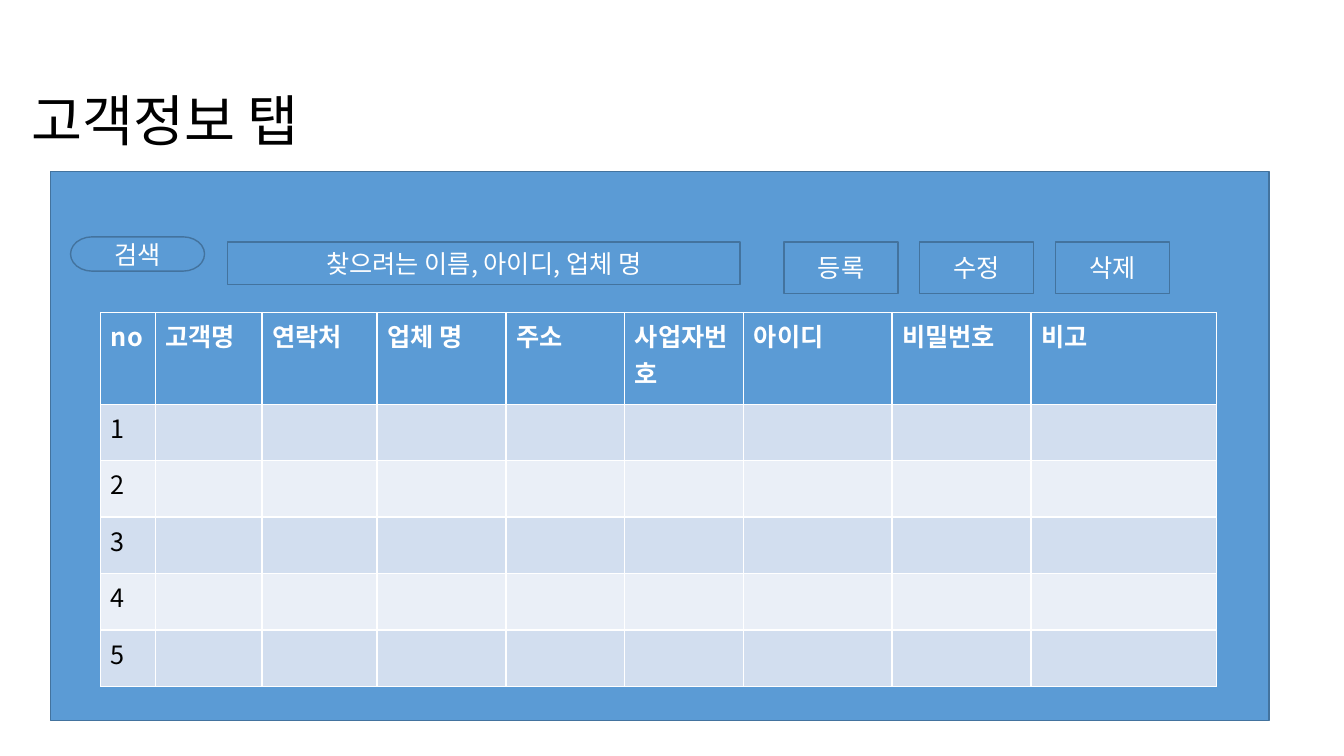
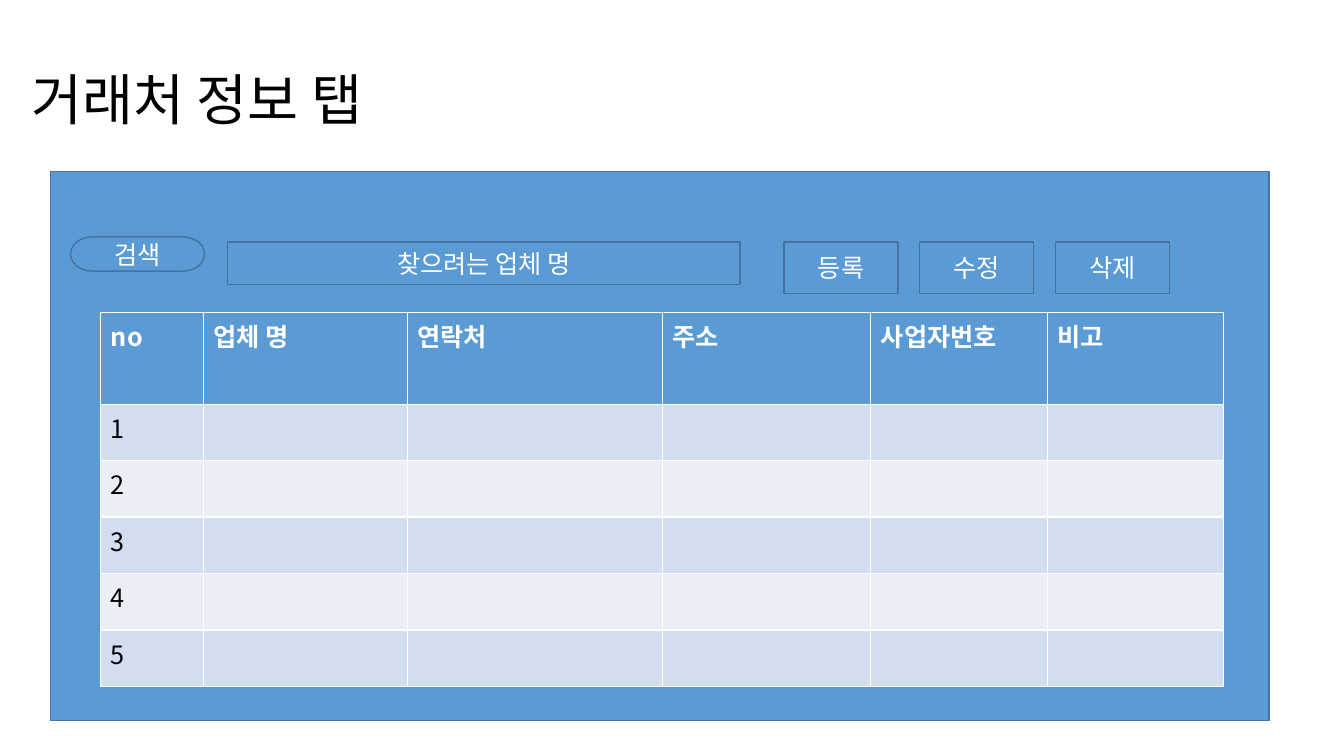
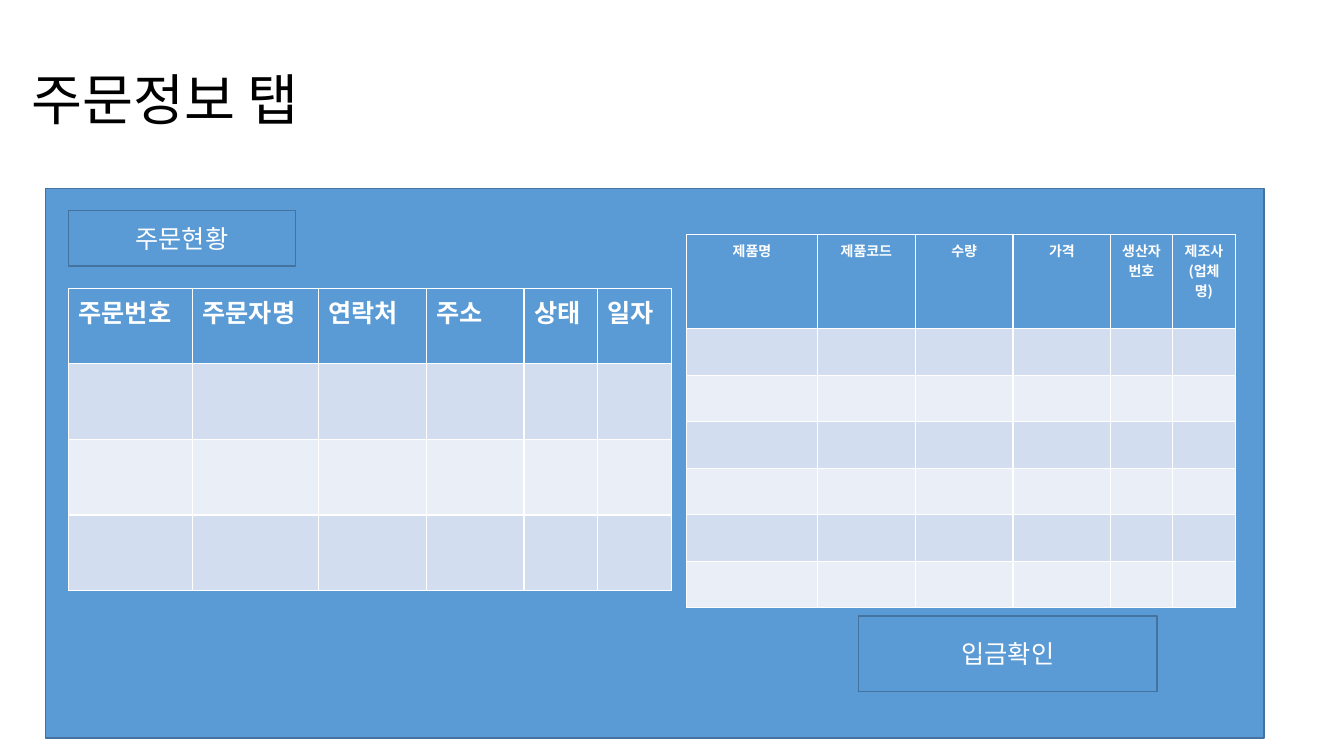
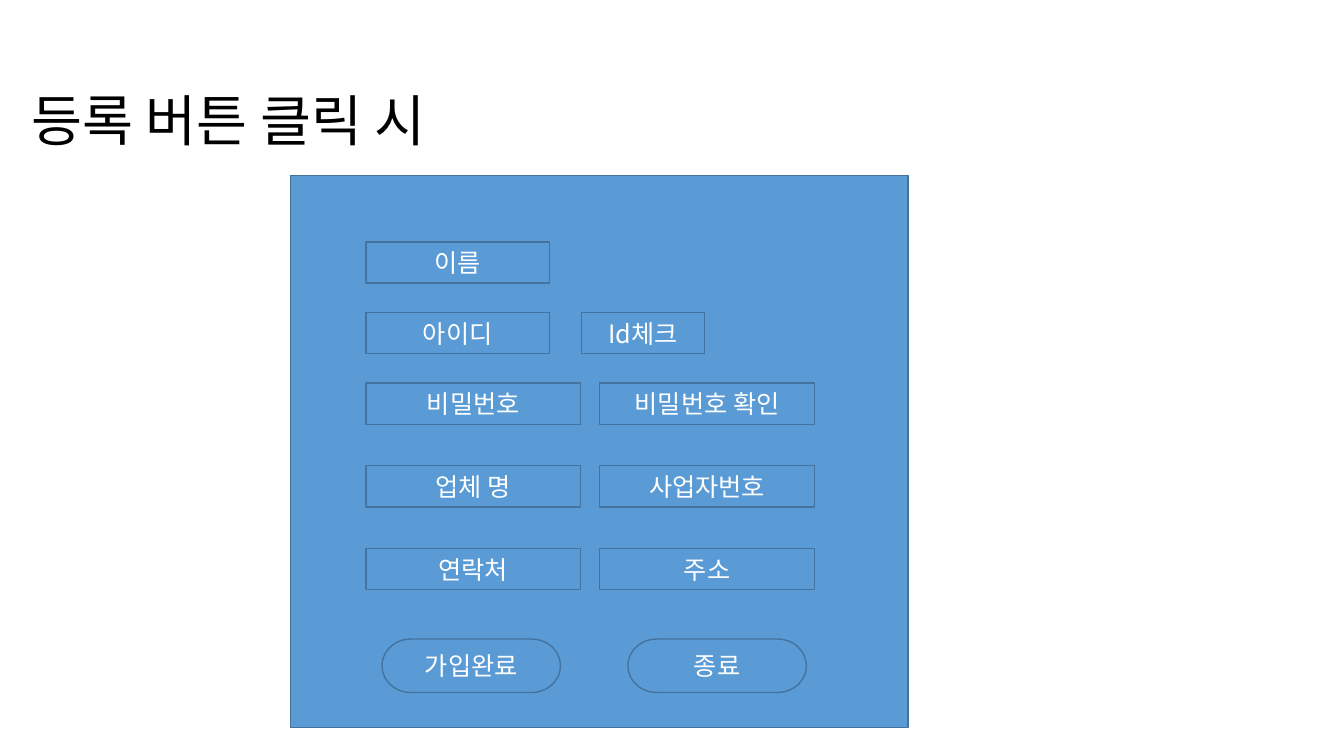
from dataclasses import dataclass

from pptx import Presentation
from pptx.dml.color import RGBColor
from pptx.enum.shapes import MSO_SHAPE
from pptx.enum.text import MSO_ANCHOR, PP_ALIGN
from pptx.oxml.ns import qn
from pptx.util import Inches, Pt

RECT, PILL = MSO_SHAPE.RECTANGLE, MSO_SHAPE.FLOWCHART_TERMINATOR
LEFT, MID = PP_ALIGN.LEFT, PP_ALIGN.CENTER
CENTER = MSO_ANCHOR.MIDDLE


@dataclass(frozen=True)
class Theme:
    """Colours, type sizes and font shared by all slides."""
    font: str = "Noto Sans CJK KR"
    blue: RGBColor = RGBColor(0x5B, 0x9B, 0xD5)
    edge: RGBColor = RGBColor(0x43, 0x73, 0x9E)
    bands: tuple = (RGBColor(0xEA, 0xEF, 0xF7), RGBColor(0xD2, 0xDE, 0xEF))
    white: RGBColor = RGBColor(255, 255, 255)
    black: RGBColor = RGBColor(0, 0, 0)
    title: float = 39.6
    body: float = 18
    small: float = 10


theme = Theme()
GRID = Inches(0.1)  # every length below counts columns or rows of this grid


def grid(*cells):
    """Turn grid counts into slide lengths."""
    return [round(n * GRID) for n in cells]


def write(frame, text, size, color, align=LEFT, bold=False):
    """Put text in a frame, styled paragraph by paragraph."""
    frame.text = text
    for para in frame.paragraphs:
        para.alignment = align
        font = para.font
        font.name, font.size, font.bold = theme.font, Pt(size), bold
        font.color.rgb = color
        # East Asian text needs its own typeface entry after the Latin one
        latin = para._p.pPr.find(qn("a:defRPr")).find(qn("a:latin"))
        east = latin.makeelement(qn("a:ea"), {"typeface": theme.font})
        latin.addnext(east)


# Search row: a pill, a wide field and three evenly spaced buttons
buttons = [(RECT, 77.8 + 13.45 * i, 24, 11.3, 5.1, name)
           for i, name in enumerate(("등록", "수정", "삭제"))]
find = (PILL, 7, 23.5, 13.3, 3.4, "검색")
panel = (RECT, 5, 17, 120.9, 54.5, "")
lines = [9.1] + [5.6] * 5

# Sign-up form: pairs of fields, one pair per row
pairs = [("비밀번호", "비밀번호 확인"), ("업체 명", "사업자번호"),
         ("연락처", "주소")]
fields = [(RECT, 36.3 + 23.2 * col, 38 + 8.2 * row, 21.3, 4.1, name)
          for row, pair in enumerate(pairs) for col, name in enumerate(pair)]

# Page: title, title top, shapes, tables
# Table: left, top, type size, alignment, widths, heights, heads, numbered
pages = [
    ("고객정보 탭", 8.9,
     [panel, find, (RECT, 22.6, 24, 50.8, 4.2, "찾으려는 이름, 아이디, 업체 명"),
      *buttons],
     [(10, 31, theme.body, LEFT,
       [5.4, 10.6, 11.4, 12.8, 11.8, 11.8, 14.7, 13.8, 18.4], lines,
       ["no", "고객명", "연락처", "업체 명", "주소", "사업자번호", "아이디",
        "비밀번호", "비고"], True)]),
    ("거래처 정보 탭", 6.8,
     [panel, find, (RECT, 22.6, 24, 50.8, 4.2, "찾으려는 업체 명"), *buttons],
     [(10, 31, theme.body, LEFT,
       [10.2, 20.2, 25.3, 20.7, 17.5, 17.5], lines,
       ["no", "업체 명", "연락처", "주소", "사업자번호", "비고"], True)]),
    ("주문정보 탭", 6.8,
     [(RECT, 4.5, 18.7, 120.9, 54.5, ""),
      (RECT, 6.8, 20.9, 22.5, 5.5, "주문현황"),
      (RECT, 85.2, 61.1, 29.6, 7.5, "입금확인")],
     [(68.1, 23.3, theme.small, MID,
       [13, 9.7, 9.7, 9.7, 6.1, 6.3], [9.3] + [4.62] * 6,
       ["제품명", "제품코드", "수량", "가격", "생산자번호",
        "제조사\n(업체명)"], False),
      (6.8, 28.6, theme.body, LEFT,
       [12.3, 12.5, 10.7, 9.7, 7.3, 7.3], [7.5] * 4,
       ["주문번호", "주문자명", "연락처", "주소", "상태", "일자"], False)]),
    ("등록 버튼 클릭 시", 8.9,
     [(RECT, 28.8, 17.4, 61.3, 54.8, ""),
      (RECT, 36.3, 24, 18.2, 4.1, "이름"),
      (RECT, 36.3, 31, 18.2, 4.1, "아이디"),
      (RECT, 57.7, 31, 12.2, 4.1, "Id체크"), *fields,
      (PILL, 37.9, 63.4, 17.7, 5.3, "가입완료"),
      (PILL, 62.3, 63.4, 17.7, 5.3, "종료")],
     []),
]

deck = Presentation()
deck.slide_width, deck.slide_height = grid(133.33, 75)
layout = deck.slide_layouts.get_by_name("Title Only")

for title, top, shapes, tables in pages:
    slide = deck.slides.add_slide(layout)
    head = slide.shapes.title
    head.left, head.top, head.width, head.height = grid(2.1, top, 66.1, 6.7)
    write(head.text_frame, title, theme.title, theme.black)
    head.text_frame.vertical_anchor = CENTER
    head.text_frame.paragraphs[0].line_spacing = 0.9

    for kind, x, y, wide, high, label in shapes:
        box = slide.shapes.add_shape(kind, *grid(x, y, wide, high))
        box.shadow.inherit = False
        box.fill.solid()
        box.fill.fore_color.rgb = theme.blue
        box.line.color.rgb = theme.edge
        box.line.width = Pt(1)
        if label:
            write(box.text_frame, label, theme.body, theme.white, MID)

    for x, y, size, align, widths, heights, heads, count in tables:
        table = slide.shapes.add_table(
            len(heights), len(widths),
            *grid(x, y, sum(widths), sum(heights))).table
        for col, wide in zip(table.columns, grid(*widths)):
            col.width = wide
        for r, (row, high) in enumerate(zip(table.rows, grid(*heights))):
            row.height = high
            for c, cell in enumerate(row.cells):
                cell.fill.solid()
                if r == 0:
                    cell.fill.fore_color.rgb = theme.blue
                    write(cell.text_frame, heads[c], size, theme.white,
                          align, True)
                else:
                    cell.fill.fore_color.rgb = theme.bands[r % 2]
                    label = str(r) if count and c == 0 else ""
                    write(cell.text_frame, label, size, theme.black, align)

deck.save("out.pptx")
